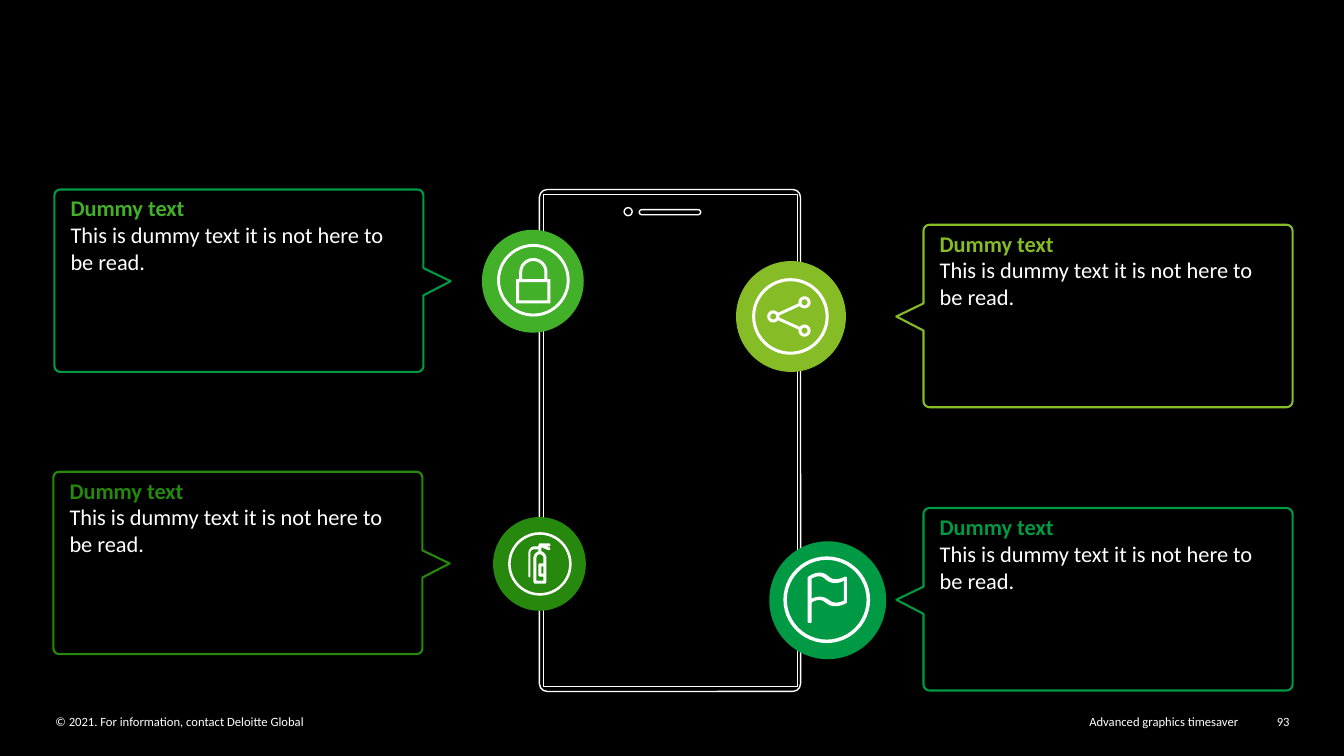
"""Build a black slide with a phone outline, four icon badges and four callouts."""
from math import cos, radians, sin

from pptx import Presentation
from pptx.dml.color import RGBColor
from pptx.enum.shapes import MSO_SHAPE as Shape
from pptx.enum.text import MSO_ANCHOR as Anchor, PP_ALIGN as Align
from pptx.util import Pt

PX = 9144
BLACK = RGBColor(0x00, 0x00, 0x00)
WHITE = RGBColor(0xFF, 0xFF, 0xFF)
LIME = RGBColor(0x86, 0xBC, 0x25)
BRIGHT = RGBColor(0x43, 0xB0, 0x2A)
FOREST = RGBColor(0x26, 0x89, 0x0D)
EMERALD = RGBColor(0x00, 0x9A, 0x44)


def arc(x, y, radius, start, end, steps=24):
    """Return points along a circle, with angles clockwise from the right."""
    angles = [radians(start + (end - start) * i / steps) for i in range(steps + 1)]
    return [(x + radius * cos(a), y + radius * sin(a)) for a in angles]


def outline(shapes, contours):
    """Draw closed contours of points (x, y) and Bezier curves (two controls, end)."""
    builder = None
    for contour in contours:
        points = []
        for step in contour:
            if len(step) == 2:
                points.append(step)
                continue
            x0, y0 = points[-1]
            x1, y1, x2, y2, x3, y3 = step
            for t in [i / 10 for i in range(1, 11)]:
                a, b, c, d = (1 - t) ** 3, 3 * t * (1 - t) ** 2, 3 * t * t * (1 - t), t ** 3
                points.append((a * x0 + b * x1 + c * x2 + d * x3,
                               a * y0 + b * y1 + c * y2 + d * y3))
        points = [(x * PX, y * PX) for x, y in points]
        if builder is None:
            builder = shapes.build_freeform(*points[0], scale=1.0)
        else:
            builder.move_to(*points[0])
        builder.add_line_segments(points[1:], close=True)
    shape = builder.convert_to_shape()
    shape.shadow.inherit = False
    return shape


presentation = Presentation()
presentation.slide_width = 1333 * PX
presentation.slide_height = 750 * PX
slide = presentation.slides.add_slide(presentation.slide_layouts[6])
slide.background.fill.solid()
slide.background.fill.fore_color.rgb = BLACK

footers = [
    ("© 2021. For information, contact Deloitte Global", 55, 586, Align.LEFT),
    ("Advanced graphics timesaver", 693, 535, Align.RIGHT),
    ("93", 1245, 34, Align.RIGHT),
]
for text, left, width, align in footers:
    box = slide.shapes.add_textbox(left * PX, 708 * PX, width * PX, 15 * PX)
    frame = box.text_frame
    frame.word_wrap = True
    frame.margin_left = frame.margin_top = frame.margin_right = frame.margin_bottom = 0
    paragraph = frame.paragraphs[0]
    paragraph.alignment = align
    run = paragraph.add_run()
    run.text = text
    run.font.name, run.font.size = "Calibri", Pt(9)
    run.font.color.rgb = WHITE

phone = slide.shapes.add_group_shape()
phone_parts = [
    (Shape.ROUNDED_RECTANGLE, 535, 188, 259, 498, 0.03),
    (Shape.RECTANGLE, 539, 193, 252, 488, None),
    (Shape.ROUNDED_RECTANGLE, 634, 208, 61, 5, 0.5),
    (Shape.OVAL, 619, 206, 8, 8, None),
]
for kind, left, top, width, height, rounding in phone_parts:
    part = phone.shapes.add_shape(kind, left * PX, top * PX, width * PX, height * PX)
    part.shadow.inherit = False
    if rounding:
        part.adjustments[0] = rounding
    part.fill.solid()
    part.fill.fore_color.rgb = BLACK
    part.line.color.rgb = WHITE
    part.line.width = Pt(1)

WIDTH, BODY, HEIGHT, RADIUS = 393, 366, 181, 6
callout_outline = (
    arc(RADIUS, RADIUS, RADIUS, 180, 270, 6)
    + arc(BODY - RADIUS, RADIUS, RADIUS, 270, 360, 6)
    + [(BODY, 78), (WIDTH, 91), (BODY, 105)]
    + arc(BODY - RADIUS, HEIGHT - RADIUS, RADIUS, 0, 90, 6)
    + arc(RADIUS, HEIGHT - RADIUS, RADIUS, 90, 180, 6)
)
callouts = [
    (889, 223, True, LIME, LIME),
    (889, 504, True, EMERALD, EMERALD),
    (54, 188, False, EMERALD, BRIGHT),
    (53, 468, False, FOREST, FOREST),
]
for left, top, points_left, line_color, title_color in callouts:
    callout = outline(slide.shapes, [[
        (left + (WIDTH - x if points_left else x), top + y) for x, y in callout_outline
    ]])
    callout.fill.background()
    callout.line.color.rgb = line_color
    callout.line.width = Pt(1.5)
    frame = callout.text_frame
    frame.word_wrap = True
    frame.vertical_anchor = Anchor.TOP
    frame.margin_left = (43 if points_left else 16) * PX
    frame.margin_right = (12 if points_left else 43) * PX
    frame.margin_top = frame.margin_bottom = 5 * PX
    lines = [
        (frame.paragraphs[0], "Dummy text", title_color, True),
        (frame.add_paragraph(), "This is dummy text it is not here to be read.", WHITE, False),
    ]
    for paragraph, text, color, bold in lines:
        paragraph.alignment = Align.LEFT
        run = paragraph.add_run()
        run.text = text
        run.font.name, run.font.size, run.font.bold = "Calibri", Pt(16), bold
        run.font.color.rgb = color

lock = [
    [(546, 277), (543, 277), *arc(529, 270, 14, 0, -180), (515, 277),
     (512, 277), (512, 301), (546, 301)],
    [(540, 277), *arc(529, 270, 11, 0, -180), (518, 277)],
    [(543, 298), (515, 298), (515, 280), (543, 280)],
]
extinguisher = [
    [(545, 543), (541, 542), (545, 542), (546, 541), (545, 539), (535, 539), (534, 541),
     (534, 542), (530, 542), (527, 542, 524, 545, 524, 549), (524, 572), (525, 573),
     (526, 572), (526, 549), (526, 546, 528, 545, 530, 545), (534, 545), (534, 547),
     (531, 548, 529, 551, 529, 554), (529, 577), (530, 579), (541, 579), (542, 577),
     (542, 554), (542, 551, 540, 548, 537, 547), (537, 543), (544, 546), (546, 545)],
    [(537, 562), (539, 562), (539, 569), (537, 569)],
    [(539, 554), (539, 559), (535, 559), (534, 560), (534, 571), (535, 572), (539, 572),
     (539, 576), (532, 576), (532, 554), (532, 552, 533, 550, 535, 550),
     (538, 550, 539, 552, 539, 554)],
]
share_nodes = [(798, 300), (767, 314), (798, 328)]
share = [
    arc(798, 300, 6, 170, 502) + arc(767, 314, 6, -10, 10, 4)
    + arc(798, 328, 6, 218, 550) + arc(767, 314, 6, 38, 322),
] + [arc(x, y, 3, 0, 360) for x, y in share_nodes]
flag = [
    [(803, 618), (802, 618, 801, 618, 801, 617), (801, 573), (802, 572),
     (806, 569, 815, 565, 822, 572), (828, 578, 838, 572, 838, 572), (839, 572),
     (840, 573), (840, 597), (840, 598), (835, 601, 826, 604, 819, 598),
     (814, 593, 807, 596, 805, 598), (805, 617), (805, 618, 804, 618, 803, 618)],
    [(813, 592), (816, 592, 819, 593, 822, 595), (827, 600, 834, 597, 837, 596),
     (837, 576), (832, 579, 825, 580, 819, 575), (814, 569, 807, 573, 805, 574),
     (805, 594), (807, 593, 810, 592, 813, 592)],
]
badges = [
    (BRIGHT, 478, 228, 101, 493, 242, 72, lock),
    (FOREST, 489, 513, 92, 504, 528, 63, extinguisher),
    (LIME, 730, 259, 109, 746, 276, 76, share),
    (EMERALD, 763, 537, 116, 777, 552, 86, flag),
]
for color, left, top, size, ring_left, ring_top, ring_size, icon in badges:
    badge = slide.shapes.add_group_shape()
    disc = badge.shapes.add_shape(
        Shape.OVAL, left * PX, top * PX, size * PX, (size + 1) * PX)
    symbol = outline(badge.shapes, icon)
    ring = badge.shapes.add_shape(
        Shape.DONUT, ring_left * PX, ring_top * PX, ring_size * PX, ring_size * PX)
    ring.adjustments[0] = 0.04
    for shape, fill in [(disc, color), (symbol, WHITE), (ring, WHITE)]:
        shape.shadow.inherit = False
        shape.fill.solid()
        shape.fill.fore_color.rgb = fill
        shape.line.fill.background()

presentation.save("out.pptx")
